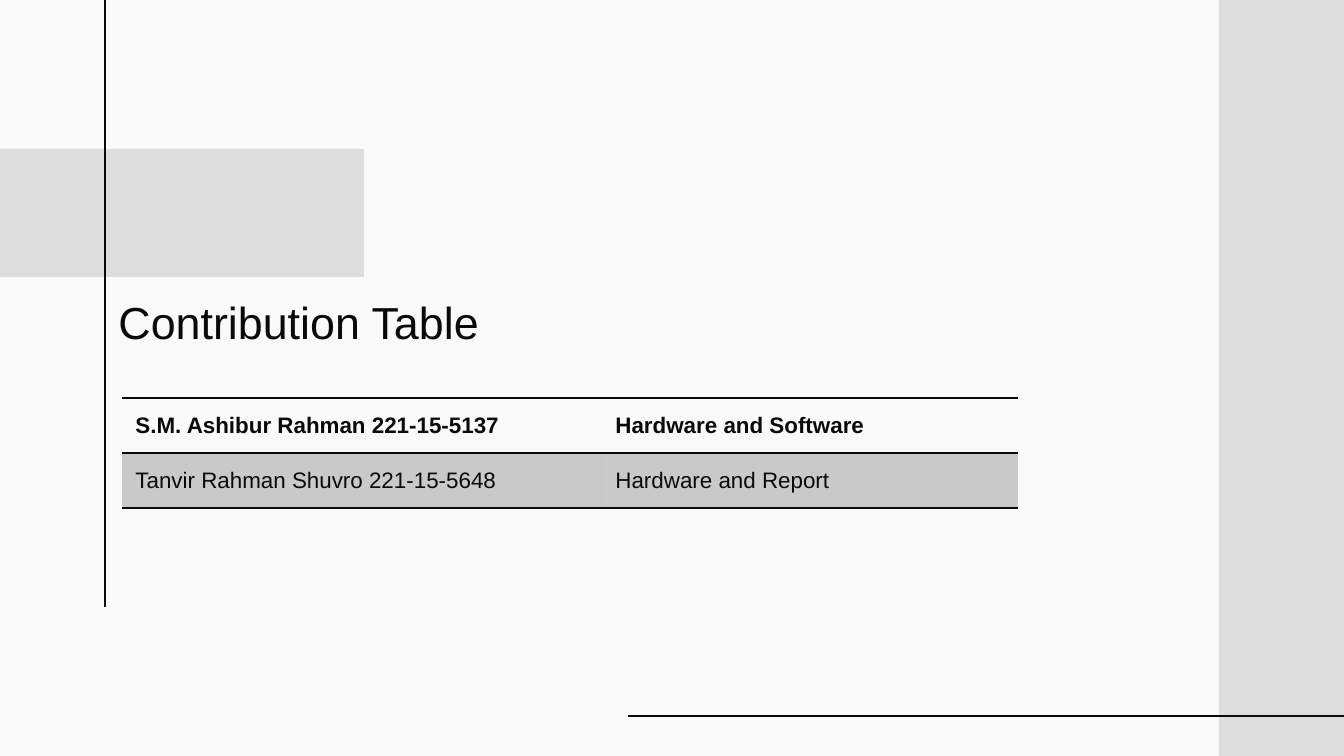
from lxml.etree import SubElement
from pptx import Presentation
from pptx.dml.color import RGBColor
from pptx.enum.shapes import MSO_CONNECTOR as CONN, MSO_SHAPE as SHAPE
from pptx.enum.text import MSO_ANCHOR as ANCHOR, PP_ALIGN as ALIGN
from pptx.oxml import parse_xml
from pptx.oxml.ns import nsdecls, qn
from pptx.util import Emu, Pt

INK, PAPER, GREY = "0A0A0A", "F9F9F9", "DDDDDD"
NO_STYLE = "{2D5ABB26-0587-4C30-8999-92F81FD0307C}"
CONTRIBUTIONS = [
    ("S.M. Ashibur Rahman 221-15-5137", "Hardware and Software"),
    ("Tanvir Rahman Shuvro 221-15-5648", "Hardware and Report"),
]


def px(n):
    """Convert pixels to EMU."""
    return Emu(round(n * 914400 / 134.4))


def color(value):
    """Turn a hex string into a colour."""
    return RGBColor.from_string(value)


def set_font(p, size, bold=False):
    """Format a paragraph in the slide's typeface and ink."""
    p.font.name = "Arial"
    p.font.size = Pt(size)
    p.font.bold = bold
    p.font.color.rgb = color(INK)


def add_block(s, x, y, w, h):
    """Add a plain grey rectangle."""
    sp = s.shapes.add_shape(SHAPE.RECTANGLE, px(x), px(y), px(w), px(h))
    sp.shadow.inherit = False
    sp.fill.solid()
    sp.fill.fore_color.rgb = color(GREY)
    sp.line.fill.background()


def add_rule(s, x1, y1, x2, y2):
    """Add a thin straight line."""
    line = s.shapes.add_connector(CONN.STRAIGHT, px(x1), px(y1), px(x2), px(y2))
    line.line.color.rgb = color(INK)
    line.line.width = Pt(0.75)
    SubElement(line._element.spPr, qn("a:effectLst"))


def set_title(s, text, x, y, w, h):
    """Place and format the title placeholder."""
    sp = s.shapes.title
    sp.left, sp.top, sp.width, sp.height = px(x), px(y), px(w), px(h)
    tf = sp.text_frame
    tf.text = text
    tf.word_wrap = True
    tf.vertical_anchor = ANCHOR.TOP
    tf.margin_left = tf.margin_right = tf.margin_top = tf.margin_bottom = Pt(7.2)
    p = tf.paragraphs[0]
    p.alignment = ALIGN.LEFT
    set_font(p, 24)


def set_borders(cell, sides):
    """Draw ink borders on the named sides of a cell."""
    for i, side in enumerate(sides):
        cell._tc.get_or_add_tcPr().insert(i, parse_xml(
            f'<a:ln{side} {nsdecls("a")} w="{Pt(1)}"><a:solidFill>'
            f'<a:srgbClr val="{INK}"/></a:solidFill></a:ln{side}>'))


def set_fill(cell, shaded):
    """Shade a cell with 20% ink or leave it clear."""
    if not shaded:
        cell.fill.background()
        return
    cell.fill.solid()
    cell.fill.fore_color.rgb = color(INK)
    clr = cell._tc.tcPr.find(".//" + qn("a:srgbClr"))
    SubElement(clr, qn("a:alpha"), val="20000")


def add_contribution_table(s, x, y, widths, row_h):
    """Add the table with a bold first row and shaded second row."""
    rows = len(CONTRIBUTIONS)
    table = s.shapes.add_table(rows, len(widths), px(x), px(y),
                               px(sum(widths)), px(row_h * rows)).table
    table._tbl.tblPr.find(qn("a:tableStyleId")).text = NO_STYLE
    table.horz_banding = False
    for col, w in zip(table.columns, widths):
        col.width = px(w)
    for i, texts in enumerate(CONTRIBUTIONS):
        table.rows[i].height = px(row_h)
        for cell, text in zip(table.rows[i].cells, texts):
            cell.text = text
            cell.vertical_anchor = ANCHOR.MIDDLE
            set_font(cell.text_frame.paragraphs[0], 12, bold=i == 0)
            set_fill(cell, shaded=i % 2 == 1)
            set_borders(cell, "TB")


def main():
    """Build the contribution slide."""
    prs = Presentation()
    prs.slide_width, prs.slide_height = px(1344), px(756)
    s = prs.slides.add_slide(prs.slide_layouts[5])
    s.background.fill.solid()
    s.background.fill.fore_color.rgb = color(PAPER)
    add_block(s, 1219, 0, 125, 756)
    add_rule(s, 628, 716, 1344, 716)
    add_block(s, 0, 149, 364, 128)
    add_rule(s, 105, 607, 105, 0)
    set_title(s, "Contribution Table", 105, 281, 727, 78)
    add_contribution_table(s, 122, 398, (480, 416), 55)
    prs.save("out.pptx")


if __name__ == "__main__":
    main()
